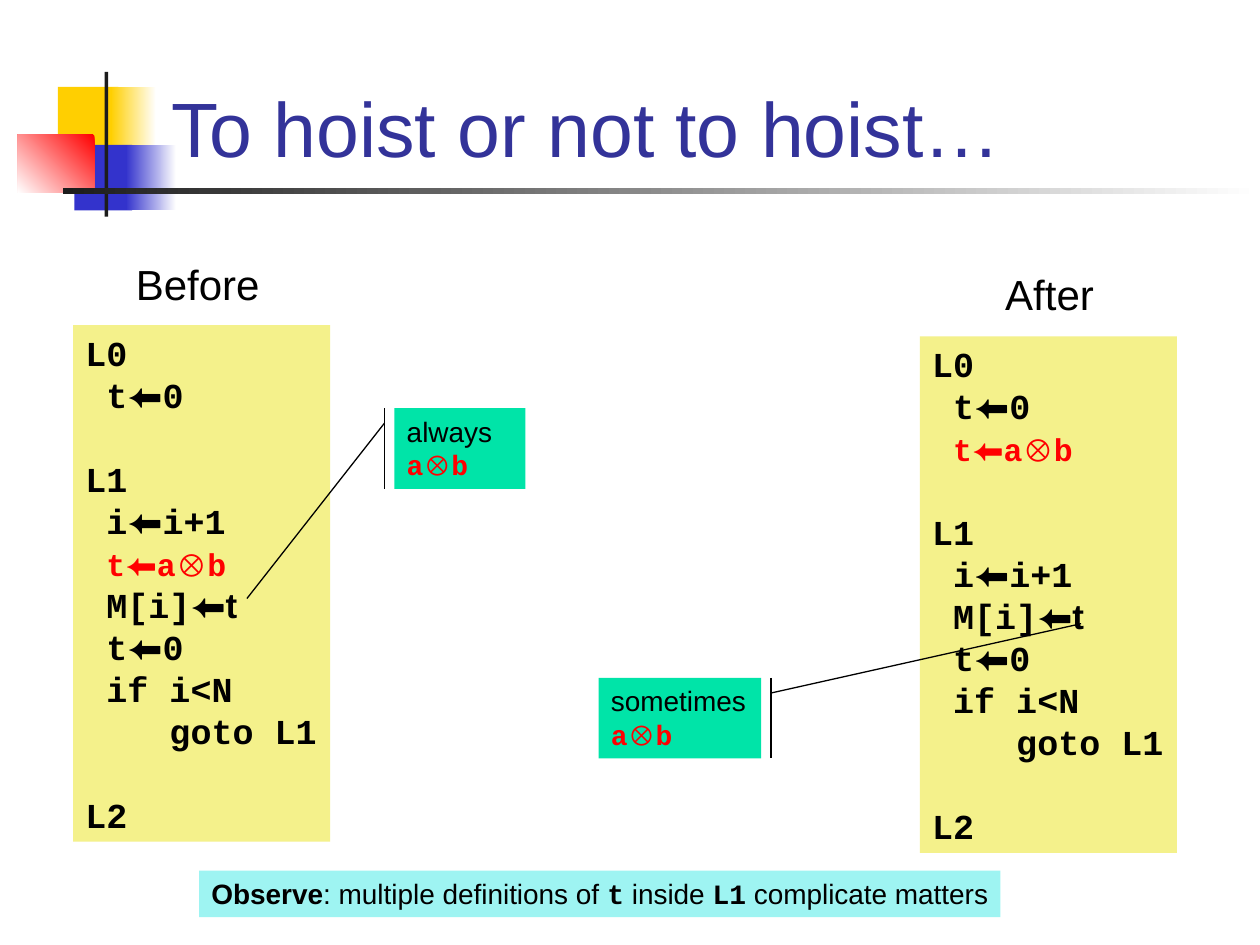
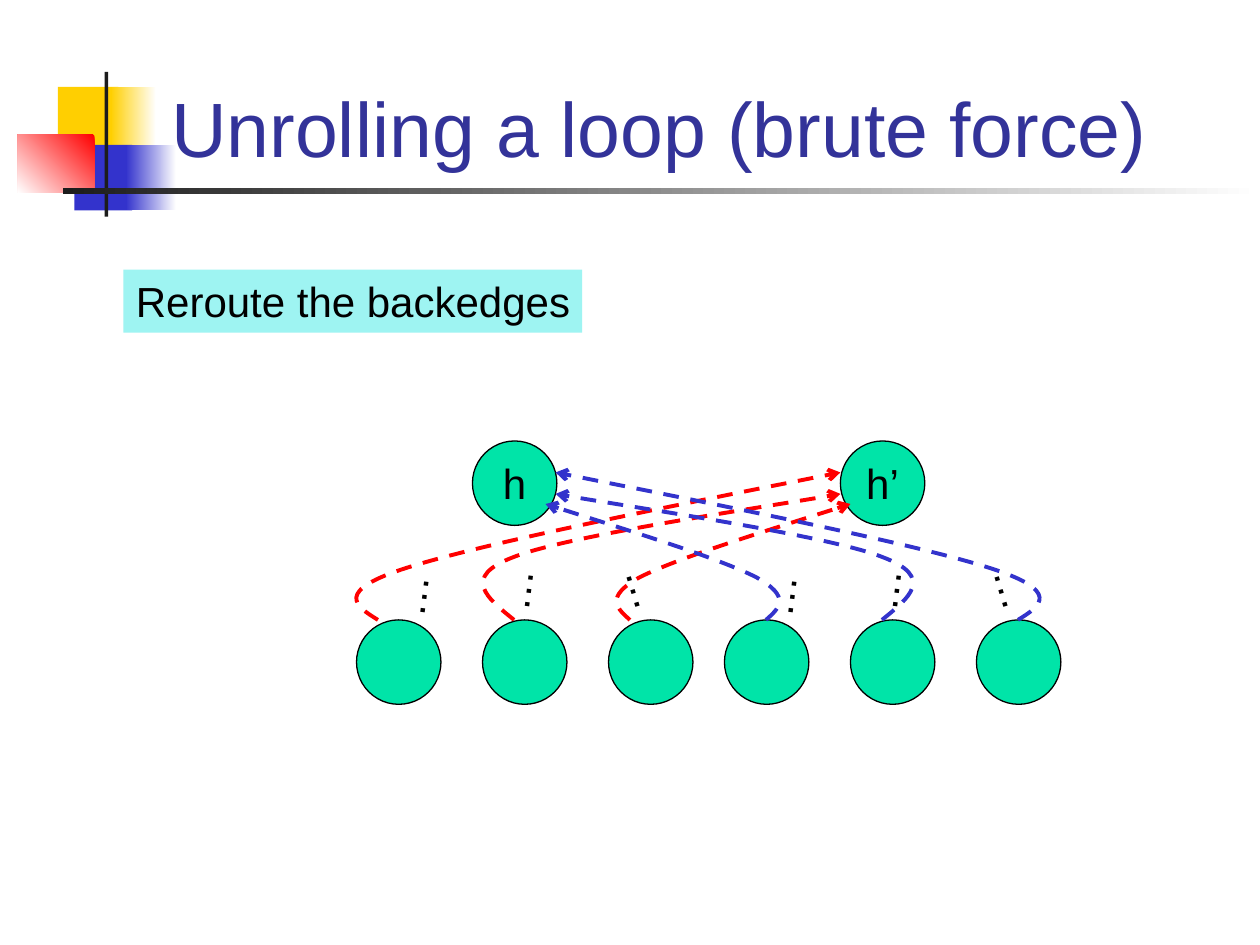
from dataclasses import dataclass
from itertools import groupby
from typing import NamedTuple

from lxml import etree
from pptx import Presentation
from pptx.dml.color import RGBColor
from pptx.enum.dml import MSO_LINE
from pptx.enum.shapes import MSO_CONNECTOR, MSO_SHAPE
from pptx.enum.text import MSO_ANCHOR, PP_ALIGN
from pptx.oxml.ns import qn
from pptx.util import Emu, Pt

RECT, OVAL = MSO_SHAPE.RECTANGLE, MSO_SHAPE.OVAL
STRAIGHT, DASH = MSO_CONNECTOR.STRAIGHT, MSO_LINE.DASH
TOP, MIDDLE, BOTTOM = MSO_ANCHOR.TOP, MSO_ANCHOR.MIDDLE, MSO_ANCHOR.BOTTOM
LEFT, CENTER = PP_ALIGN.LEFT, PP_ALIGN.CENTER

PX = 9144
SANS, MONO = "Arial", "Courier New"
SYMBOLS = "⬅⊗"
CODE_LINE = 24
COLORS = {
    "title": "333399", "ink": "000000", "bar": "1C1C1C", "white": "FFFFFF",
    "yellow": "FFCF01", "blue": "3333CC", "red": "FF0000",
    "code": "F4F18B", "green": "00E4A8", "note": "9EF4F2",
}


class Box(NamedTuple):
    """Left, top, width and height in px."""
    x: int
    y: int
    w: int
    h: int


class Run(NamedTuple):
    """A stretch of text in one style."""
    text: str
    size: int = 24
    font: str = SANS
    color: str = "ink"
    bold: bool = False


@dataclass
class Para:
    """A paragraph with optional fixed line height and space before."""
    runs: list[Run]
    line: float | None = None
    before: float = 0


@dataclass
class Block:
    """A master rectangle, plain or fading from start to end."""
    box: Box
    start: str
    end: str | None = None
    angle: int = 180


@dataclass
class Callout:
    """A note with a side bar and a leader line to the code."""
    box: Box
    word: str
    bar_x: int
    leader_y: int
    target: tuple[int, int]


BLOCKS = [
    Block(Box(46, 69, 48, 52), "yellow"),
    Block(Box(88, 69, 36, 52), "white", "yellow"),
    Block(Box(59, 115, 46, 52), "blue"),
    Block(Box(100, 115, 40, 52), "white", "blue"),
    Block(Box(14, 107, 61, 46), "red", "white", 225),
    Block(Box(83, 57, 3, 115), "bar"),
    Block(Box(50, 149, 950, 5), "white", "bar"),
]
CALLOUTS = [
    Callout(Box(313, 324, 104, 64), "always ", 305, 336, (196, 475)),
    Callout(Box(475, 538, 129, 64), "sometimes ", 612, 550, (858, 495)),
]
BACKEDGES = [
    [(300, 492), (282, 481), (264, 469), (325, 450), (386, 431), (526, 403), (667, 375)],
    [(408, 492), (387, 475), (365, 458), (408, 442), (451, 425), (624, 400), (667, 392)],
    [(500, 492), (490, 483), (479, 474), (508, 458), (538, 443), (606, 422), (675, 400)],
]
DOTS = [(299, 448, 277.1), (382, 443, 277.1), (465, 448, 253.2)]
COPY_SHIFT, MIRROR = 292, 1108
NODE = 67


def rgb(name: str) -> RGBColor:
    """Look up a colour by name."""
    return RGBColor.from_string(COLORS[name])


def emu(*lengths: int) -> list[Emu]:
    """Turn px into EMU."""
    return [Emu(n * PX) for n in lengths]


def write(sp, paras: list[Para], anchor=TOP, align=LEFT, wrap: bool = False) -> None:
    """Fill a shape with paragraphs, run by run."""
    tf = sp.text_frame
    tf.word_wrap, tf.vertical_anchor = wrap, anchor
    tf.margin_left, tf.margin_top, tf.margin_right, tf.margin_bottom = emu(10, 5, 10, 5)
    for i, para in enumerate(paras):
        p = tf.add_paragraph() if i else tf.paragraphs[0]
        p.alignment = align
        if para.line:
            p.line_spacing = Pt(para.line)
        if para.before:
            p.space_before = Pt(para.before)
        for run in para.runs:
            r = p.add_run()
            r.text = run.text
            r.font.size, r.font.name, r.font.bold = Pt(run.size), run.font, run.bold
            r.font.color.rgb = rgb(run.color)


def add_shape(s, kind, box: Box, fill: str, line: str | None = None):
    """Add a flat preset shape."""
    sp = s.shapes.add_shape(kind, *emu(*box))
    sp.shadow.inherit = False
    sp.fill.solid()
    sp.fill.fore_color.rgb = rgb(fill)
    if line:
        sp.line.color.rgb, sp.line.width = rgb(line), Pt(0.75)
    else:
        sp.line.fill.background()
    return sp


def add_text(s, box: Box, run: Run, **options):
    """Add a text box holding one run."""
    sp = s.shapes.add_textbox(*emu(*box))
    write(sp, [Para([run])], **options)
    return sp


def add_line(s, start: tuple[int, int], end: tuple[int, int]) -> None:
    """Add a thin straight line."""
    sp = s.shapes.add_connector(STRAIGHT, *emu(*start, *end))
    sp.line.color.rgb, sp.line.width = rgb("ink"), Pt(0.75)
    etree.SubElement(sp._element.spPr, qn("a:effectLst"))


def add_curve(s, points: list[tuple[int, int]], color: str) -> None:
    """Add a dashed cubic curve ending in an arrow."""
    fb = s.shapes.build_freeform(*points[0], scale=PX)
    fb.add_line_segments(points[1:], close=False)
    sp = fb.convert_to_shape()
    sp.shadow.inherit = False
    sp.fill.background()
    sp.line.color.rgb, sp.line.width, sp.line.dash_style = rgb(color), Pt(2.25), DASH
    etree.SubElement(sp.line._get_or_add_ln(), qn("a:tailEnd"), type="arrow")
    legs = list(sp._element.iter(qn("a:lnTo")))
    for i in range(0, len(legs), 3):
        bezier = etree.Element(qn("a:cubicBezTo"))
        legs[i].addprevious(bezier)
        for leg in legs[i:i + 3]:
            bezier.append(leg[0])
            leg.getparent().remove(leg)


def new_slide(prs, title: str):
    """Add a blank slide with the shared blocks and title."""
    s = prs.slides.add_slide(prs.slide_layouts[6])
    for block in BLOCKS:
        sp = add_shape(s, RECT, block.box, block.start)
        if block.end:
            sp.fill.gradient()
            sp.fill.gradient_angle = block.angle
            for stop, name, pos in zip(sp.fill.gradient_stops, (block.start, block.end), (0, 1)):
                stop.color.rgb, stop.position = rgb(name), pos
    add_text(s, Box(126, 17, 852, 125), Run(title, 44, color="title"), anchor=BOTTOM, wrap=True)
    return s


def code_runs(text: str, size: int = 20, color: str = "ink") -> list[Run]:
    """Set code in bold monospace and its symbols in sans."""
    return [Run("".join(part), size, SANS if symbol else MONO, color, True)
            for symbol, part in groupby(text, lambda ch: ch in SYMBOLS)]


def add_listing(s, heading: str, heading_box: Box, box: Box, hoisted: bool) -> None:
    """Add a code panel with its heading."""
    hot = [code_runs(" ") + code_runs("t⬅a⊗b", 18, "red")]
    store = code_runs(" M[i]") + [Run("⬅t", 20, SANS, "ink", True)]
    entry = [code_runs("L0"), code_runs(" t⬅0")]
    loop = [code_runs("L1"), code_runs(" i⬅i+1")]
    rest = [store] + [code_runs(t) for t in (" t⬅0", " if i<N", "    goto L1")]
    if hoisted:
        entry += hot
    else:
        loop += hot
    paras = []
    for section in (entry, loop + rest, [code_runs("L2")]):
        for i, runs in enumerate(section):
            gap = CODE_LINE if paras and i == 0 else 0
            paras.append(Para(runs, CODE_LINE, gap))
    write(add_shape(s, RECT, box, "code"), paras)
    add_text(s, heading_box, Run(heading))


def add_callout(s, c: Callout) -> None:
    """Add a callout box with its two lines."""
    sp = add_shape(s, RECT, c.box, "green")
    write(sp, [Para([Run(c.word, 16)] + code_runs("a⊗b", 16, "red"))], wrap=True)
    add_line(s, c.target, (c.bar_x, c.leader_y))
    add_line(s, (c.bar_x, c.box.y), (c.bar_x, c.box.y + c.box.h))


def hoist_slide(prs) -> None:
    """Build the comparison of code before and after hoisting."""
    s = new_slide(prs, "To hoist or not to hoist…")
    add_listing(s, "Before", Box(98, 200, 122, 50), Box(58, 258, 204, 410), False)
    add_listing(s, "After", Box(788, 208, 96, 50), Box(730, 267, 204, 410), True)
    for c in CALLOUTS:
        add_callout(s, c)
    write(add_shape(s, RECT, Box(158, 691, 636, 37), "note"), [Para([
        Run("Observe", 16, bold=True), Run(": multiple definitions of ", 16),
        *code_runs("t", 16), Run(" inside ", 16),
        *code_runs("L1", 16), Run(" complicate matters", 16)])])


def unroll_slide(prs) -> None:
    """Build the graph of two loop copies with crossed backedges."""
    s = new_slide(prs, "Unrolling a loop (brute force)")
    write(add_shape(s, RECT, Box(98, 214, 364, 50), "note"),
          [Para([Run("Reroute the backedges")])])
    for header, shift in (("h", 0), ("h’", COPY_SHIFT)):
        sp = add_shape(s, OVAL, Box(375 + shift, 350, NODE, NODE), "green", "ink")
        write(sp, [Para([Run(header)])], MIDDLE, CENTER)
        for i in range(3):
            add_shape(s, OVAL, Box(283 + 100 * i + shift, 492, NODE, NODE), "green", "ink")
        for x, y, angle in DOTS:
            add_text(s, Box(x + shift, y, 53, 50), Run("…")).rotation = angle
    for points in BACKEDGES:
        add_curve(s, points, "red")
    for points in BACKEDGES:
        add_curve(s, [(MIRROR - x, y) for x, y in points], "blue")


def main() -> None:
    """Build and save the presentation."""
    prs = Presentation()
    prs.slide_width, prs.slide_height = emu(1000, 750)
    hoist_slide(prs)
    unroll_slide(prs)
    prs.save("out.pptx")


if __name__ == "__main__":
    main()
